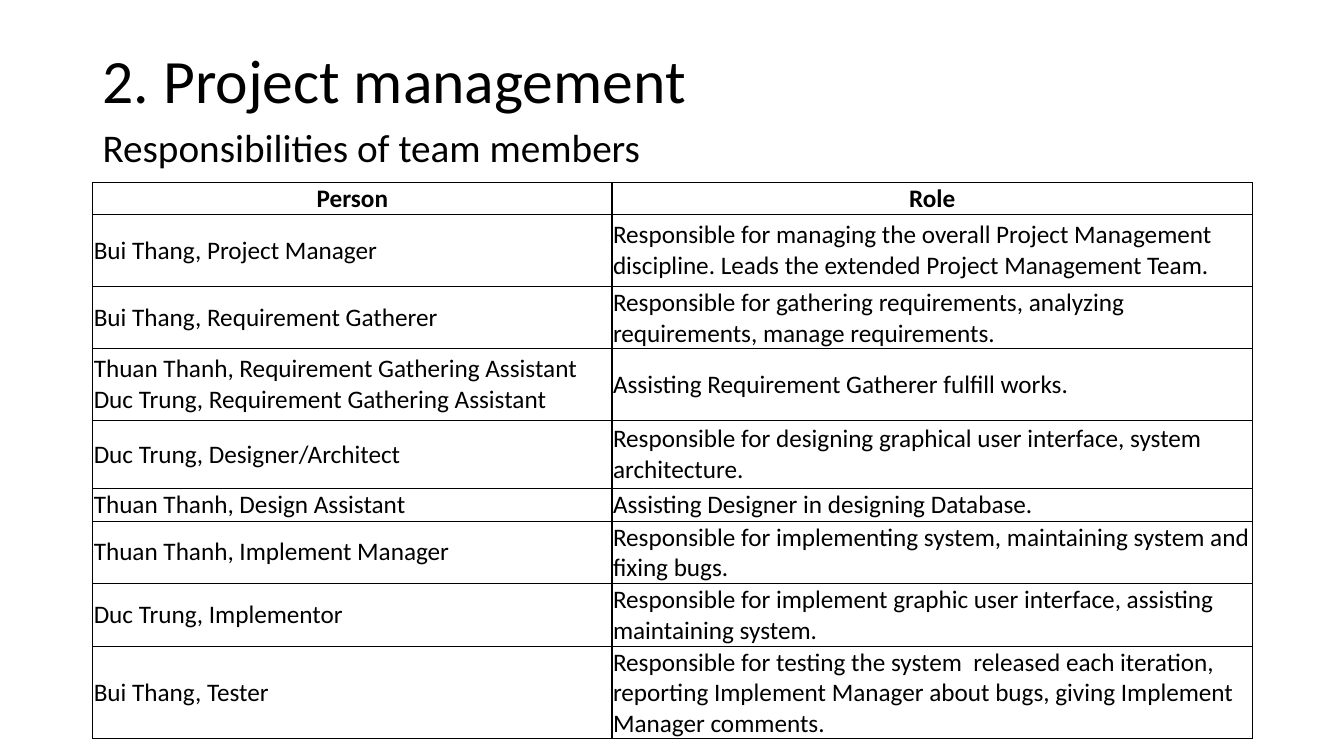
from typing import NamedTuple

from lxml import etree
from pptx import Presentation
from pptx.dml.color import RGBColor
from pptx.enum import text as t
from pptx.oxml import ns
from pptx.util import Inches, Pt

BLACK = RGBColor(0x00, 0x00, 0x00)
FONT = "Calibri"
LEFT = 0.92
COLUMN_WIDTHS = (5.15, 6.35)
CELL_MARGIN = Inches(0.01)


class Heading(NamedTuple):
    words: str
    top: float
    width: float
    height: float
    size: int
    anchor: t.MSO_ANCHOR
    space_before: int


class Duty(NamedTuple):
    person: str
    role: str
    height: float


HEADINGS = (
    Heading("2. Project management", 0.1, 11.5, 1.45, 44, t.MSO_ANCHOR.MIDDLE, 0),
    Heading("Responsibilities of team members", 1.23, 5.67, 0.75, 28, t.MSO_ANCHOR.TOP, 10),
)

DUTIES = (
    Duty("Person", "Role", 0.32),
    Duty("Bui Thang, Project Manager",
         "Responsible for managing the overall Project Management discipline. "
         "Leads the extended Project Management Team.", 0.71),
    Duty("Bui Thang, Requirement Gatherer",
         "Responsible for gathering requirements, analyzing requirements, "
         "manage requirements.", 0.48),
    Duty("Thuan Thanh, Requirement Gathering Assistant "
         "Duc Trung, Requirement Gathering Assistant",
         "Assisting Requirement Gatherer fulfill works.", 0.71),
    Duty("Duc Trung, Designer/Architect",
         "Responsible for designing graphical user interface, system architecture.", 0.68),
    Duty("Thuan Thanh, Design Assistant",
         "Assisting Designer in designing Database.", 0.26),
    Duty("Thuan Thanh, Implement Manager",
         "Responsible for implementing system, maintaining system and fixing bugs.", 0.48),
    Duty("Duc Trung, Implementor",
         "Responsible for implement graphic user interface, assisting maintaining system.", 0.48),
    Duty("Bui Thang, Tester",
         "Responsible for testing the system  released each iteration, reporting "
         "Implement Manager about bugs, giving Implement Manager comments.", 0.71),
)


def style_text(para, size: int, bold: bool = False) -> None:
    for span in para.runs:
        span.font.name = FONT
        span.font.size = Pt(size)
        span.font.bold = bold
        span.font.color.rgb = BLACK


def add_heading(page, heading: Heading) -> None:
    box = page.shapes.add_textbox(Inches(LEFT), Inches(heading.top),
                                  Inches(heading.width), Inches(heading.height))
    frame = box.text_frame
    frame.word_wrap = True
    frame.vertical_anchor = heading.anchor
    frame.text = heading.words
    para = frame.paragraphs[0]
    para.line_spacing = 0.9
    para.space_before = Pt(heading.space_before)
    style_text(para, heading.size)


def add_borders(cell) -> None:
    properties = cell._tc.get_or_add_tcPr()
    for side in ("lnL", "lnR", "lnT", "lnB"):
        line = etree.SubElement(properties, ns.qn(f"a:{side}"), w=str(Pt(1)))
        fill = etree.SubElement(line, ns.qn("a:solidFill"))
        etree.SubElement(fill, ns.qn("a:srgbClr"), val=str(BLACK))


def fill_cell(cell, words: str, is_header: bool) -> None:
    cell.margin_left = cell.margin_right = CELL_MARGIN
    cell.margin_top = cell.margin_bottom = CELL_MARGIN
    cell.vertical_anchor = t.MSO_ANCHOR.MIDDLE
    add_borders(cell)
    cell.fill.background()
    cell.text_frame.text = words
    para = cell.text_frame.paragraphs[0]
    para.alignment = t.PP_ALIGN.CENTER if is_header else t.PP_ALIGN.LEFT
    style_text(para, 18, bold=is_header)


def add_duty_table(page) -> None:
    total_height = sum(duty.height for duty in DUTIES)
    frame = page.shapes.add_table(len(DUTIES), len(COLUMN_WIDTHS), Inches(LEFT), Inches(1.81),
                                  Inches(sum(COLUMN_WIDTHS)), Inches(total_height))
    table = frame.table
    table.horz_banding = False
    for column, width in zip(table.columns, COLUMN_WIDTHS):
        column.width = Inches(width)
    for index, (row, duty) in enumerate(zip(table.rows, DUTIES)):
        row.height = Inches(duty.height)
        for cell, words in zip(row.cells, (duty.person, duty.role)):
            fill_cell(cell, words, is_header=index == 0)


def main() -> None:
    deck = Presentation()
    deck.slide_width = Inches(13.33)
    deck.slide_height = Inches(7.5)
    page = deck.slides.add_slide(deck.slide_layouts[6])
    for heading in HEADINGS:
        add_heading(page, heading)
    add_duty_table(page)
    deck.save("out.pptx")


if __name__ == "__main__":
    main()
